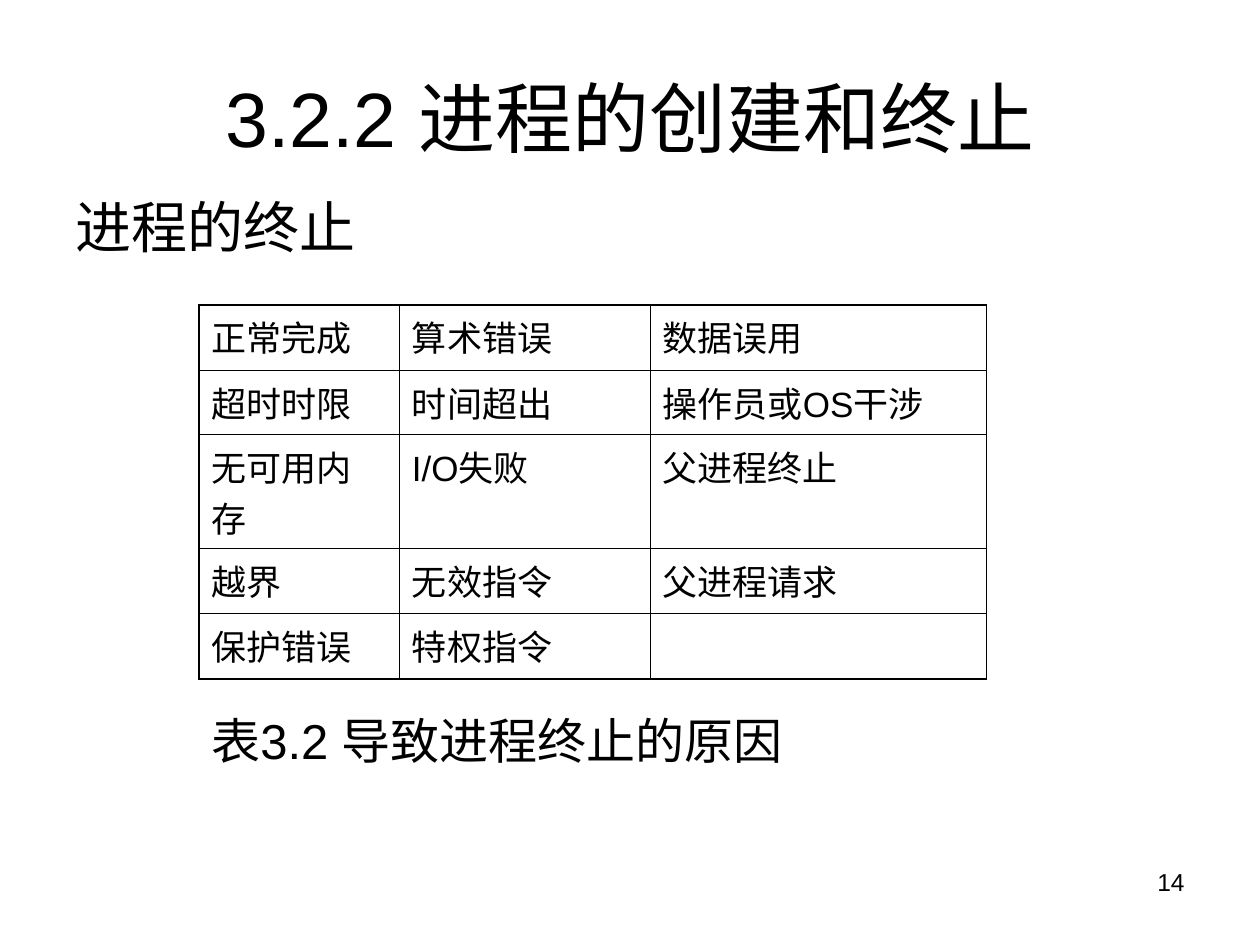
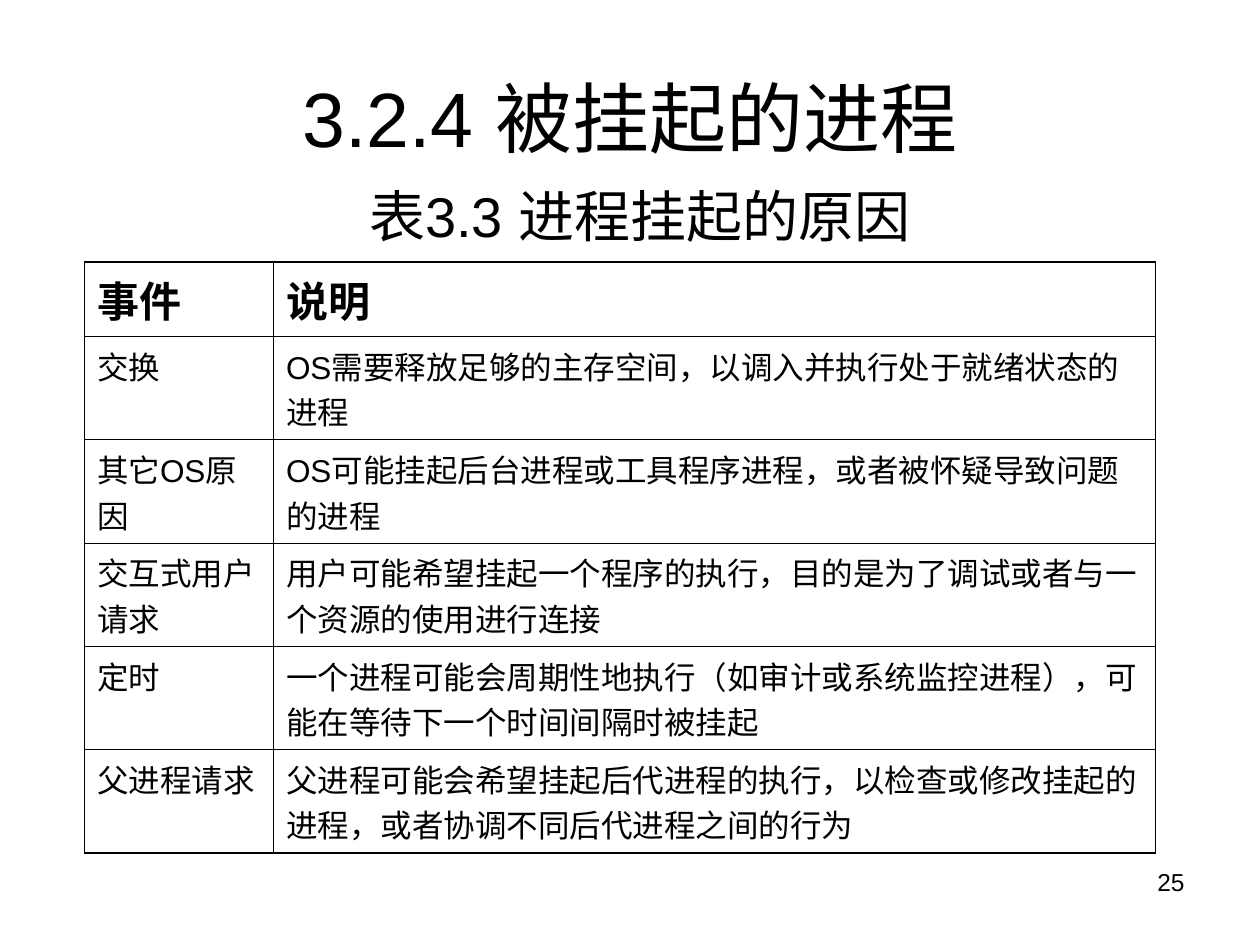
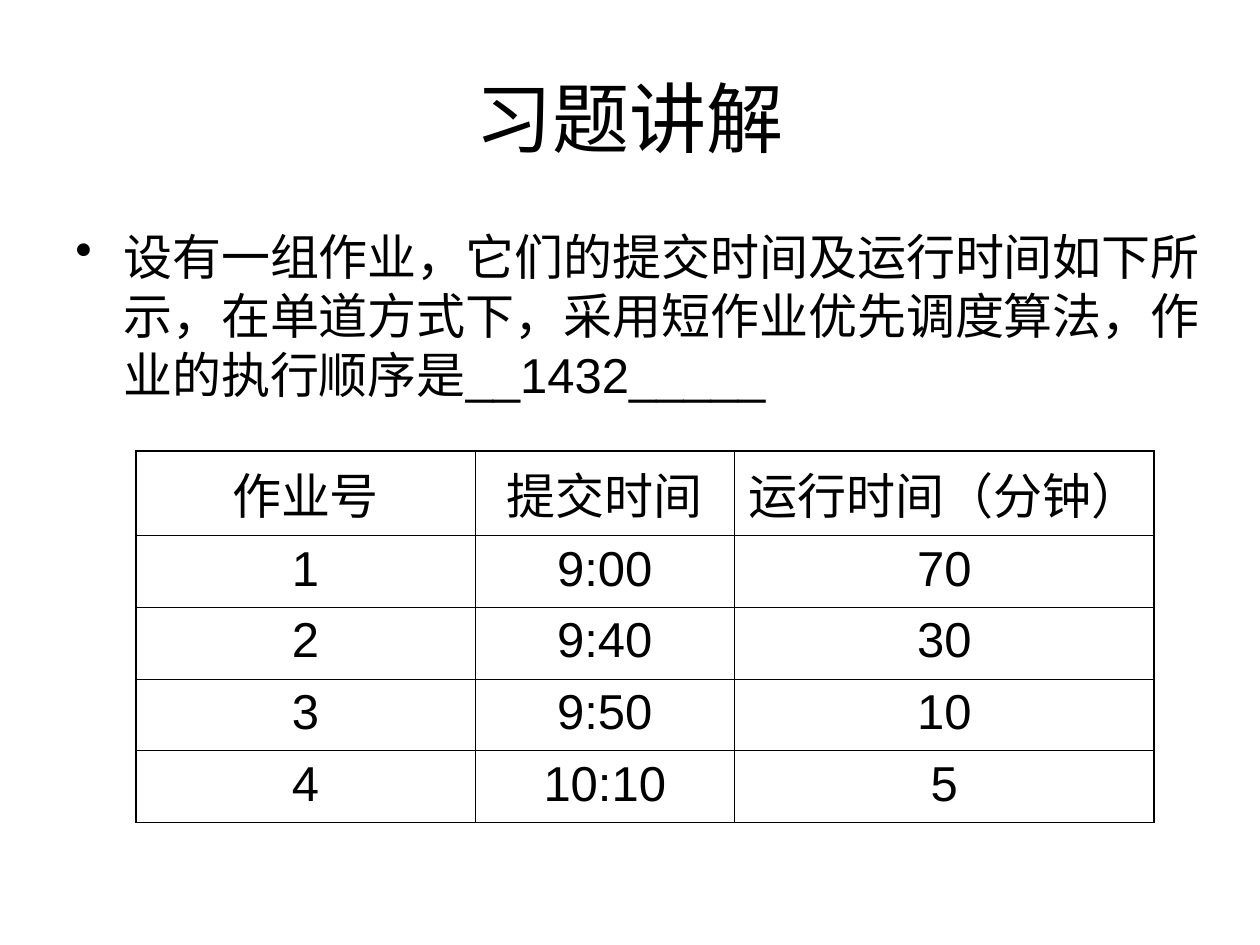
"""Build three slides on process termination, suspension and job scheduling."""
import pptx
import pptx.dml.color
import pptx.enum.text
import pptx.oxml
import pptx.oxml.ns
import pptx.util

Inches = pptx.util.Inches
Pt = pptx.util.Pt
ALIGN = pptx.enum.text.PP_ALIGN
ANCHOR = pptx.enum.text.MSO_ANCHOR

BLACK = pptx.dml.color.RGBColor(0x00, 0x00, 0x00)
FONT = "Arial"
TITLE_SIZE = 44
NUMBER_SIZE = 14
OUTER_WIDTH = 1.08
INNER_WIDTH = 0.45

TERMINATION_ROWS = [
    ("正常完成", "算术错误", "数据误用"),
    ("超时时限", "时间超出", "操作员或OS干涉"),
    ("无可用内存", "I/O失败", "父进程终止"),
    ("越界", "无效指令", "父进程请求"),
    ("保护错误", "特权指令", ""),
]
SUSPENSION_ROWS = [
    ("事件", "说明"),
    ("交换", "OS需要释放足够的主存空间，以调入并执行处于就绪状态的进程"),
    ("其它OS原因", "OS可能挂起后台进程或工具程序进程，或者被怀疑导致问题的进程"),
    ("交互式用户请求", "用户可能希望挂起一个程序的执行，目的是为了调试或者与一个资源的使用进行连接"),
    ("定时", "一个进程可能会周期性地执行（如审计或系统监控进程），可能在等待下一个时间间隔时被挂起"),
    ("父进程请求", "父进程可能会希望挂起后代进程的执行，以检查或修改挂起的进程，或者协调不同后代进程之间的行为"),
]
JOB_ROWS = [
    ("作业号", "提交时间", "运行时间（分钟）"),
    ("1", "9:00", "70"),
    ("2", "9:40", "30"),
    ("3", "9:50", "10"),
    ("4", "10:10", "5"),
]
EXERCISE = ("设有一组作业，它们的提交时间及运行时间如下所示，在单道方式下，"
            "采用短作业优先调度算法，作业的执行顺序是__1432_____")


def write(tf, text, size, align=ALIGN.LEFT, bold=False):
    """Fill a text frame with one formatted paragraph and return it."""
    tf.text = text
    p = tf.paragraphs[0]
    p.alignment = align
    for r in p.runs:
        r.font.name = FONT
        r.font.size = Pt(size)
        r.font.bold = bold
        r.font.color.rgb = BLACK
    return p


def add_titled_slide(prs, title):
    """Add a title-only slide with the shared title style."""
    s = prs.slides.add_slide(prs.slide_layouts[5])
    sp = s.shapes.title
    sp.left, sp.top = Inches(0.5), Inches(0.3)
    sp.width, sp.height = Inches(9), Inches(1.25)
    sp.text_frame.vertical_anchor = ANCHOR.MIDDLE
    write(sp.text_frame, title, TITLE_SIZE, ALIGN.CENTER)
    return s


def add_text(s, box, text, size, align=ALIGN.LEFT, anchor=ANCHOR.MIDDLE):
    """Add a wrapped text box and return its paragraph."""
    sp = s.shapes.add_textbox(*(Inches(n) for n in box))
    tf = sp.text_frame
    tf.word_wrap = True
    tf.vertical_anchor = anchor
    return write(tf, text, size, align)


def add_page_number(s, number):
    """Add the page number at the lower right."""
    add_text(s, (7.17, 6.83, 2.33, 0.52), str(number), NUMBER_SIZE,
             ALIGN.RIGHT, ANCHOR.TOP)


def add_bullet(p, indent):
    """Give a paragraph a round bullet with a hanging indent."""
    pPr = p._p.get_or_add_pPr()
    pPr.set("marL", str(Inches(indent)))
    pPr.set("indent", str(-Inches(indent)))
    pPr.append(pptx.oxml.parse_xml(
        f'<a:buChar {pptx.oxml.ns.nsdecls("a")} char="•"/>'))


def set_borders(cell, outer_sides):
    """Draw the cell borders, heavier on the table's outer sides."""
    tcPr = cell._tc.get_or_add_tcPr()
    for side in "LRTB":
        width = Pt(OUTER_WIDTH if side in outer_sides else INNER_WIDTH)
        tcPr.append(pptx.oxml.parse_xml(
            f'<a:ln{side} {pptx.oxml.ns.nsdecls("a")} w="{width}">'
            f'<a:solidFill><a:srgbClr val="{BLACK}"/></a:solidFill></a:ln{side}>'))


def add_grid(s, left, top, rows, col_widths, row_heights, size,
             align=ALIGN.LEFT, header_size=None):
    """Add an unfilled ruled table, with a bold header if it has its own size."""
    frame = s.shapes.add_table(len(rows), len(col_widths), Inches(left), Inches(top),
                               Inches(sum(col_widths)), Inches(sum(row_heights)))
    table = frame.table
    table.first_row = table.horz_banding = False
    for col, width in zip(table.columns, col_widths):
        col.width = Inches(width)
    last_row, last_col = len(rows) - 1, len(col_widths) - 1
    for i, row in enumerate(rows):
        table.rows[i].height = Inches(row_heights[i])
        is_header = i == 0 and header_size is not None
        for j, text in enumerate(row):
            cell = table.cell(i, j)
            write(cell.text_frame, text, header_size if is_header else size,
                  align, is_header)
            edges = {"L": j == 0, "R": j == last_col, "T": i == 0, "B": i == last_row}
            set_borders(cell, [side for side, is_edge in edges.items() if is_edge])
            cell.fill.background()


def build_termination(prs):
    """Build the slide on reasons for process termination."""
    s = add_titled_slide(prs, "3.2.2 进程的创建和终止")
    add_page_number(s, 14)
    add_text(s, (0.5, 1.17, 9, 1.25), "进程的终止", 32)
    add_text(s, (1.58, 5.58, 6.33, 0.58), "表3.2 导致进程终止的原因", 28)
    add_grid(s, 1.58, 2.42, TERMINATION_ROWS, (1.59, 1.99, 2.67),
             (0.52, 0.51, 0.9, 0.52, 0.52), 20)


def build_suspension(prs):
    """Build the slide on reasons for process suspension."""
    s = add_titled_slide(prs, "3.2.4 被挂起的进程")
    add_page_number(s, 25)
    add_grid(s, 0.67, 2.08, SUSPENSION_ROWS, (1.5, 7), [0.59] + [0.82] * 5, 18,
             header_size=24)
    add_text(s, (0.58, 1.08, 9, 1.25), "表3.3 进程挂起的原因", 32, ALIGN.CENTER)


def build_exercise(prs):
    """Build the shortest-job-first exercise slide."""
    s = add_titled_slide(prs, "习题讲解")
    p = add_text(s, (0.5, 1.75, 9.17, 1.92), EXERCISE, 28, anchor=ANCHOR.TOP)
    add_bullet(p, 0.38)
    add_grid(s, 1.08, 3.58, JOB_ROWS, (2.69, 2.06, 3.33), [0.67] + [0.57] * 4, 28,
             ALIGN.CENTER)


def main():
    """Create the presentation and save it."""
    prs = pptx.Presentation()
    prs.slide_width, prs.slide_height = Inches(10), Inches(7.5)
    build_termination(prs)
    build_suspension(prs)
    build_exercise(prs)
    prs.save("out.pptx")


if __name__ == "__main__":
    main()
